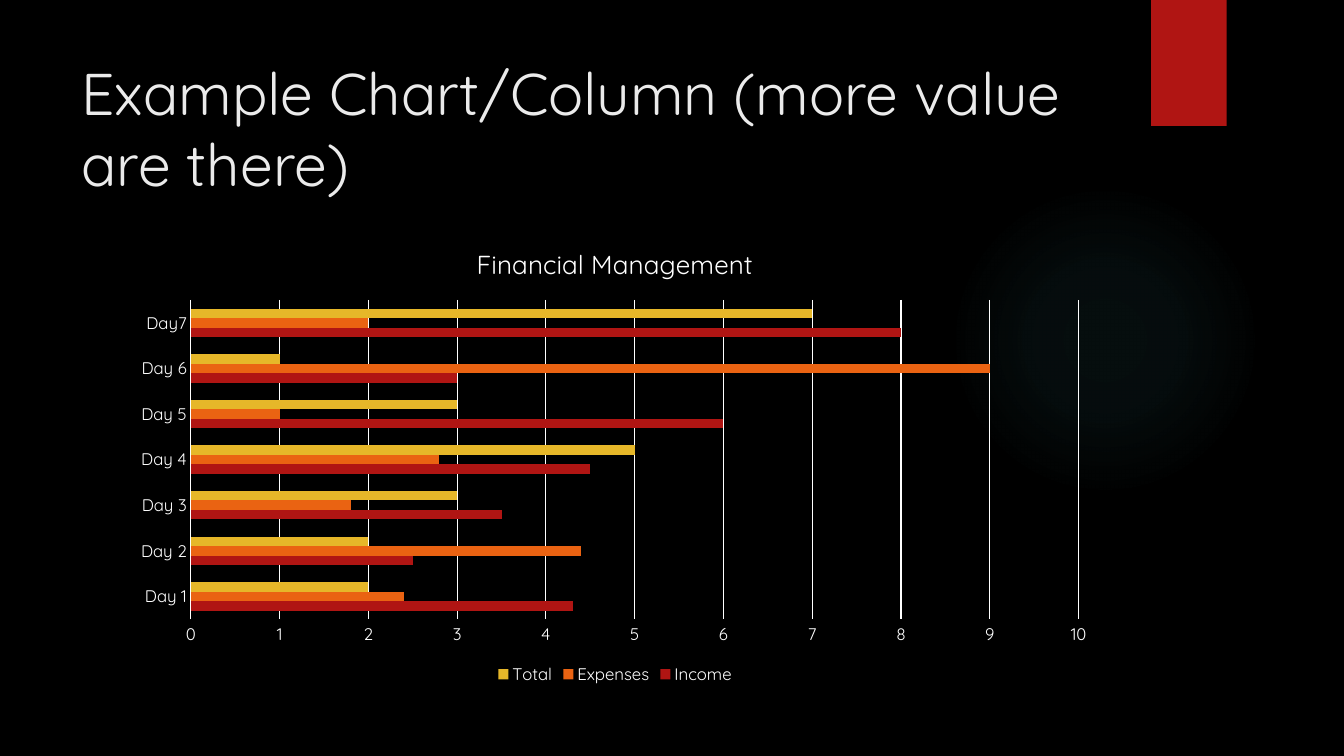
"""Build a dark slide with a title and a clustered bar chart of daily finances."""
from dataclasses import dataclass

from lxml.etree import SubElement
from pptx import Presentation
from pptx.chart.chart import Chart
from pptx.chart.data import CategoryChartData
from pptx.dml.color import RGBColor
from pptx.enum.chart import XL_CHART_TYPE as ChartType
from pptx.enum.chart import XL_LEGEND_POSITION as LegendPosition
from pptx.enum.chart import XL_TICK_MARK as TickMark
from pptx.enum.shapes import MSO_SHAPE as Preset
from pptx.enum.text import MSO_ANCHOR as Anchor
from pptx.enum.text import MSO_AUTO_SIZE as AutoSize
from pptx.enum.text import PP_ALIGN as Align
from pptx.oxml import parse_xml
from pptx.oxml.ns import nsdecls, qn
from pptx.shapes.autoshape import Shape
from pptx.slide import Slide
from pptx.text.text import Font
from pptx.util import Inches, Pt

CELL = Inches(1 / 12)


@dataclass(frozen=True)
class Theme:
    font: str = "Quicksand"
    background: str = "000000"
    heading: str = "EBEBEB"
    text: str = "FFFFFF"
    ribbon: str = "B01513"
    glow: str = "50B9C1"
    heading_size: float = 42
    chart_title_size: float = 18.6
    label_size: float = 12
    rule_width: float = 0.75


@dataclass(frozen=True)
class Area:
    """A rectangle in grid columns and rows."""
    column: float
    row: float
    columns: float
    rows: float

    def place(self) -> tuple[int, ...]:
        return tuple(round(value * CELL) for value in
                     (self.column, self.row, self.columns, self.rows))


@dataclass(frozen=True)
class Series:
    name: str
    color: str
    values: tuple[float, ...]


THEME = Theme()
TITLE = Area(8.5, 6, 123.5, 18.4)
GLOW = Area(113, 22, 37, 37)
RIBBON = Area(137, 0, 9, 15)
CHART = Area(14.5, 26.9, 117.4, 55.1)
PLOT_SHARES = {"x": 0.07, "y": 0.16, "w": 0.9, "h": 0.69}
GLOW_STOPS = ((0, 7), (36, 6), (69, 0))
DAYS = ("Day 1", "Day 2", "Day 3", "Day 4", "Day 5", "Day 6", "Day7")
SERIES = (
    Series("Income", "B01513", (4.3, 2.5, 3.5, 4.5, 6, 3, 8)),
    Series("Expenses", "EA6312", (2.4, 4.4, 1.8, 2.8, 1, 9, 2)),
    Series("Total", "E6B729", (2, 2, 3, 5, 3, 1, 7)),
)


def rgb(color: str) -> RGBColor:
    return RGBColor.from_string(color)


def apply(target: object, values: dict[str, object]) -> None:
    for name, value in values.items():
        setattr(target, name, value)


def style_font(font: Font, size: float, color: str) -> None:
    apply(font, {"name": THEME.font, "size": Pt(size), "bold": False})
    font.color.rgb = rgb(color)


def add_block(page: Slide, preset: Preset, area: Area, color: str) -> Shape:
    block = page.shapes.add_shape(preset, *area.place())
    block.shadow.inherit = False
    block.fill.solid()
    block.fill.fore_color.rgb = rgb(color)
    block.line.fill.background()
    return block


def add_glow(page: Slide) -> None:
    glow = add_block(page, Preset.OVAL, GLOW, THEME.glow)
    stops = "".join(
        f'<a:gs pos="{position * 1000}"><a:srgbClr val="{THEME.glow}">'
        f'<a:alpha val="{alpha * 1000}"/></a:srgbClr></a:gs>'
        for position, alpha in GLOW_STOPS)
    gradient = parse_xml(
        f'<a:gradFill {nsdecls("a")}><a:gsLst>{stops}</a:gsLst><a:path path="circle">'
        '<a:fillToRect l="50000" t="50000" r="50000" b="50000"/></a:path></a:gradFill>')
    properties = glow.fill._xPr
    properties.replace(properties.find(qn("a:solidFill")), gradient)


def add_title(page: Slide) -> None:
    title = page.shapes.title
    apply(title, dict(zip(("left", "top", "width", "height"), TITLE.place())))
    frame = title.text_frame
    frame.text = "Example Chart/Column (more value are there)"
    apply(frame, {"word_wrap": True, "auto_size": AutoSize.NONE,
                  "vertical_anchor": Anchor.MIDDLE})
    para = frame.paragraphs[0]
    para.alignment = Align.LEFT
    style_font(para.runs[0].font, THEME.heading_size, THEME.heading)


def place_plot(chart: Chart) -> None:
    plot_area = chart._chartSpace.chart.plotArea
    for old in plot_area.findall(qn("c:layout")):
        plot_area.remove(old)
    layout = parse_xml(f'<c:layout {nsdecls("c")}><c:manualLayout/></c:layout>')
    settings = {"layoutTarget": "inner", "xMode": "edge", "yMode": "edge", **PLOT_SHARES}
    for name, value in settings.items():
        SubElement(layout[0], qn(f"c:{name}")).set("val", str(value))
    plot_area.insert(0, layout)


def style_axes(chart: Chart) -> None:
    for axis in (chart.category_axis, chart.value_axis):
        apply(axis, {"major_tick_mark": TickMark.NONE, "minor_tick_mark": TickMark.NONE})
        style_font(axis.tick_labels.font, THEME.label_size, THEME.text)
    values = chart.value_axis
    apply(values, {"minimum_scale": 0, "maximum_scale": 10, "major_unit": 1,
                   "has_major_gridlines": True})
    values.format.line.fill.background()
    for line in (chart.category_axis.format.line, values.major_gridlines.format.line):
        line.color.rgb = rgb(THEME.text)
        line.width = Pt(THEME.rule_width)


def add_finance_chart(page: Slide) -> None:
    data = CategoryChartData()
    data.categories = DAYS
    for series in SERIES:
        data.add_series(series.name, series.values)
    chart = page.shapes.add_chart(ChartType.BAR_CLUSTERED, *CHART.place(), data).chart
    style_font(chart.font, THEME.label_size, THEME.text)

    heading = chart.chart_title.text_frame
    heading.text = "Financial Management"
    style_font(heading.paragraphs[0].runs[0].font, THEME.chart_title_size, THEME.text)
    chart.chart_title.include_in_layout = False

    plot = chart.plots[0]
    apply(plot, {"gap_width": 182, "overlap": 0, "vary_by_categories": False})
    for bars, series in zip(plot.series, SERIES):
        bars.format.fill.solid()
        bars.format.fill.fore_color.rgb = rgb(series.color)

    chart.has_legend = True
    apply(chart.legend, {"position": LegendPosition.BOTTOM, "include_in_layout": False})
    style_font(chart.legend.font, THEME.label_size, THEME.text)
    style_axes(chart)
    place_plot(chart)


def main() -> None:
    deck = Presentation()
    apply(deck, {"slide_width": Inches(13.33), "slide_height": Inches(7.5)})
    page = deck.slides.add_slide(deck.slide_layouts.get_by_name("Title Only"))
    page.background.fill.solid()
    page.background.fill.fore_color.rgb = rgb(THEME.background)
    add_glow(page)
    add_block(page, Preset.RECTANGLE, RIBBON, THEME.ribbon)
    add_title(page)
    add_finance_chart(page)
    deck.save("out.pptx")


if __name__ == "__main__":
    main()
